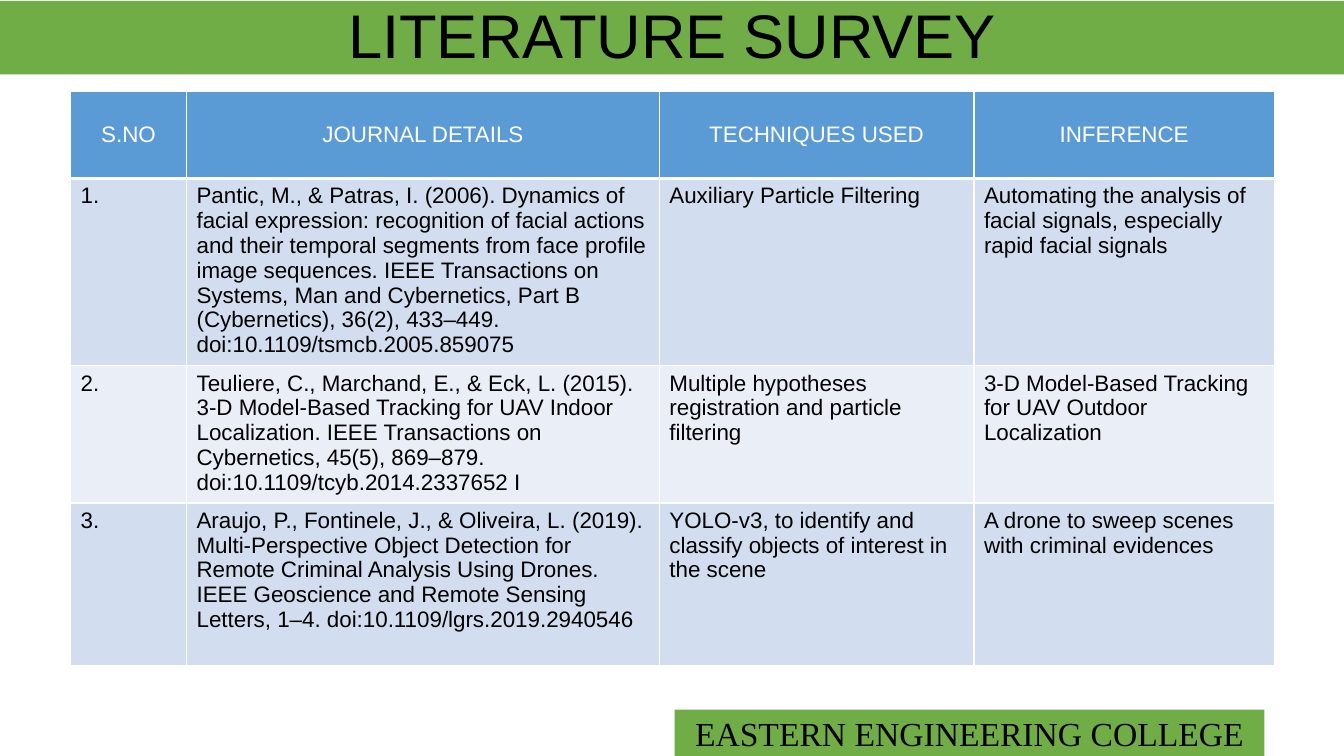
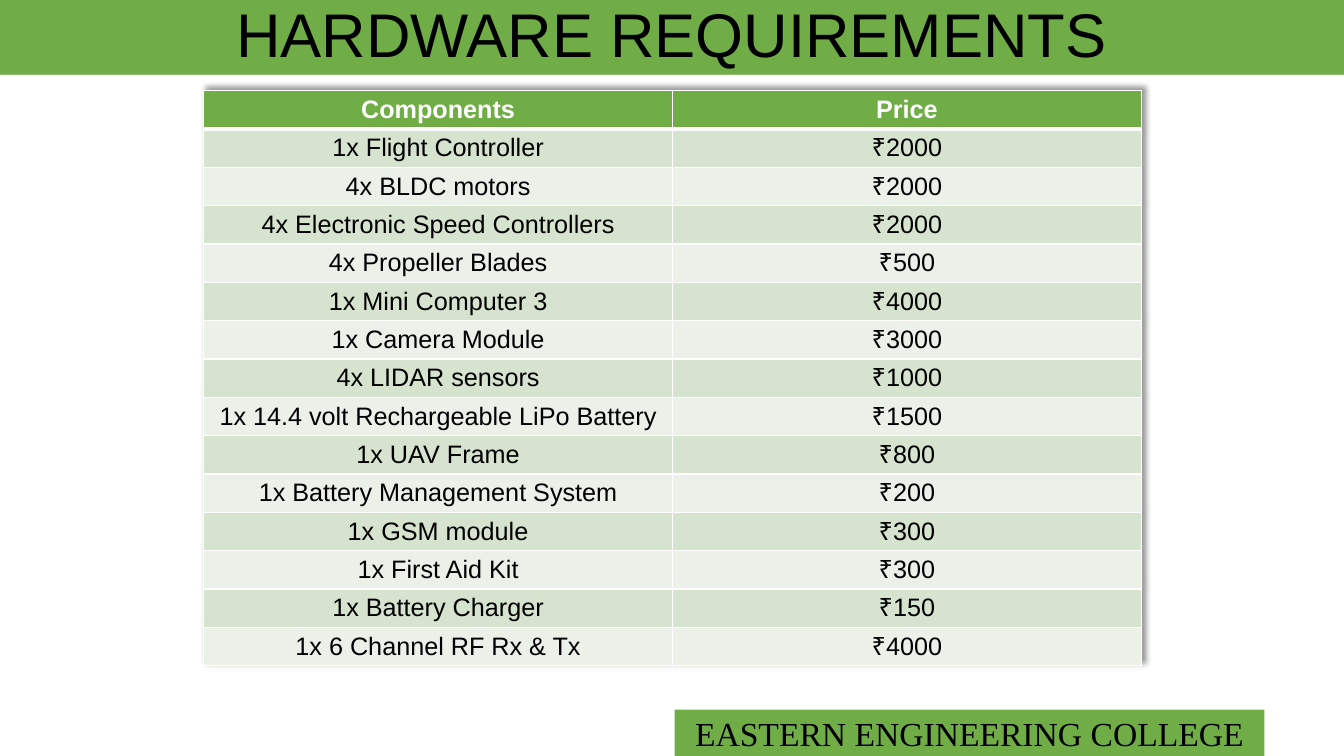
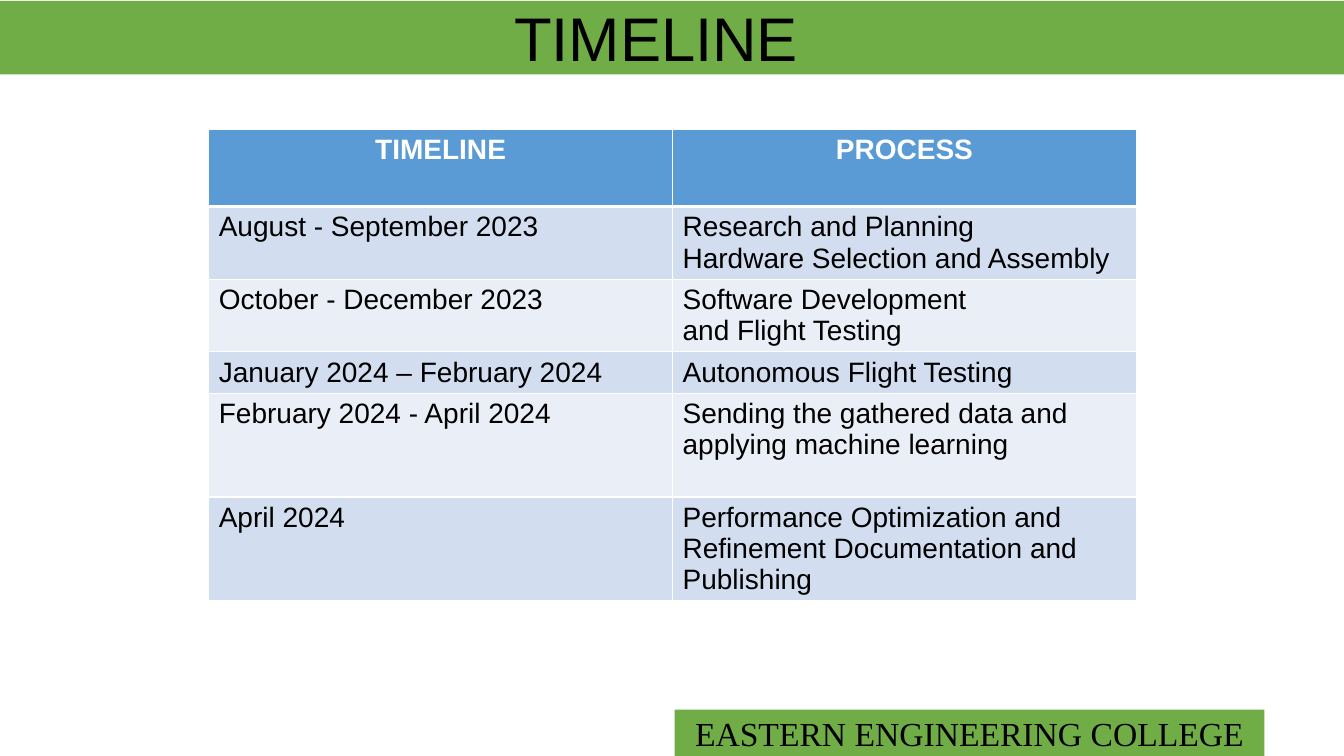
"""Build three project slides with a shared green title band, a college footer and tables."""
from dataclasses import dataclass

from lxml.etree import SubElement
from pptx import Presentation
from pptx.dml.color import RGBColor
from pptx.enum.shapes import MSO_SHAPE
from pptx.enum.text import MSO_ANCHOR, MSO_AUTO_SIZE, PP_ALIGN
from pptx.oxml.ns import qn
from pptx.shapes.autoshape import Shape
from pptx.slide import Slide
from pptx.table import _Cell
from pptx.text.text import _Paragraph
from pptx.util import Inches, Pt

COLORS = {
    "green": "70AD47",
    "green_dark_row": "D5E3CF",
    "green_light_row": "EBF1E9",
    "blue": "5B9BD5",
    "blue_dark_row": "D2DEEF",
    "blue_light_row": "EAEFF7",
    "white": "FFFFFF",
    "black": "000000",
}
TITLE_FONT = "Arial"
FOOTER_FONT = "Times New Roman"
FOOTER_TEXT = "EASTERN ENGINEERING COLLEGE"
SLIDE_WIDTH = 13.33


@dataclass(frozen=True)
class Box:
    left: float
    top: float
    width: float
    height: float


@dataclass(frozen=True)
class TextStyle:
    size: int
    color: str = "black"
    font: str = TITLE_FONT
    bold: bool = False
    alignment: PP_ALIGN = PP_ALIGN.LEFT


@dataclass(frozen=True)
class TableSpec:
    left: float
    top: float
    columns: list[float]
    row_heights: list[float]
    rows: list[list[str]]
    theme: str
    text_size: int
    bold_header: bool = True
    header_anchor: MSO_ANCHOR = MSO_ANCHOR.TOP
    body_alignment: PP_ALIGN = PP_ALIGN.LEFT
    shadow: bool = False


@dataclass(frozen=True)
class SlideSpec:
    title: str
    title_box: Box
    table: TableSpec
    filled_title: bool = False


TITLE_STYLE = TextStyle(44, alignment=PP_ALIGN.CENTER)
FOOTER_STYLE = TextStyle(24, font=FOOTER_FONT, alignment=PP_ALIGN.CENTER)

SLIDES = [
    SlideSpec(
        "LITERATURE SURVEY",
        Box(0.92, 0, 11.5, 0.77),
        TableSpec(
            0.7, 0.91, [1.15, 4.69, 3.12, 2.98], [0.86, 1.86, 1.36, 1.61],
            [
                ["S.NO", "JOURNAL DETAILS", "TECHNIQUES USED", "INFERENCE"],
                [
                    "1.",
                    "Pantic, M., & Patras, I. (2006). Dynamics of facial expression: "
                    "recognition of facial actions and their temporal segments from face "
                    "profile image sequences. IEEE Transactions on Systems, Man and "
                    "Cybernetics, Part B (Cybernetics), 36(2), "
                    "433–449. doi:10.1109/tsmcb.2005.859075",
                    "Auxiliary Particle Filtering",
                    "Automating the analysis of facial signals, especially rapid facial signals",
                ],
                [
                    "2.",
                    "Teuliere, C., Marchand, E., & Eck, L. (2015). 3-D Model-Based Tracking "
                    "for UAV Indoor Localization. IEEE Transactions on Cybernetics, 45(5), "
                    "869–879. doi:10.1109/tcyb.2014.2337652 I",
                    "Multiple hypotheses registration and particle filtering",
                    "3-D Model-Based Tracking for UAV Outdoor Localization",
                ],
                [
                    "3.",
                    "Araujo, P., Fontinele, J., & Oliveira, L. (2019). Multi-Perspective "
                    "Object Detection for Remote Criminal Analysis Using Drones. IEEE "
                    "Geoscience and Remote Sensing Letters, "
                    "1–4. doi:10.1109/lgrs.2019.2940546",
                    "YOLO-v3, to identify and classify objects of interest in the scene",
                    "A drone to sweep scenes with criminal evidences",
                ],
            ],
            "blue", 16, bold_header=False, header_anchor=MSO_ANCHOR.MIDDLE,
        ),
    ),
    SlideSpec(
        "HARDWARE REQUIREMENTS",
        Box(0, 0, SLIDE_WIDTH, 0.74),
        TableSpec(
            2.02, 0.9, [4.65] * 2, [0.38] * 15,
            [
                ["Components", "Price"],
                ["1x Flight Controller", "₹2000"],
                ["4x BLDC motors", "₹2000"],
                ["4x Electronic Speed Controllers", "₹2000"],
                ["4x Propeller Blades", "₹500"],
                ["1x Mini Computer 3", "₹4000"],
                ["1x Camera Module", "₹3000"],
                ["4x LIDAR sensors", "₹1000"],
                ["1x 14.4 volt Rechargeable LiPo Battery", "₹1500"],
                ["1x UAV Frame", "₹800"],
                ["1x Battery Management System", "₹200"],
                ["1x GSM module", "₹300"],
                ["1x First Aid Kit", "₹300"],
                ["1x Battery Charger", "₹150"],
                ["1x 6 Channel RF Rx & Tx", "₹4000"],
            ],
            "green", 18, body_alignment=PP_ALIGN.CENTER, shadow=True,
        ),
        filled_title=True,
    ),
    SlideSpec(
        "TIMELINE",
        Box(0.76, 0, 11.5, 0.82),
        TableSpec(
            2.07, 1.28, [4.6] * 2, [0.77, 0.72, 0.72, 0.41, 1.03, 1.03],
            [
                ["TIMELINE", "PROCESS"],
                [
                    "August - September 2023",
                    "Research and Planning\nHardware Selection and Assembly",
                ],
                ["October - December 2023", "Software Development\nand Flight Testing"],
                ["January 2024 – February 2024", "Autonomous Flight Testing"],
                [
                    "February 2024 - April 2024",
                    "Sending the gathered data and applying machine learning",
                ],
                [
                    "April 2024",
                    "Performance Optimization and Refinement Documentation and Publishing",
                ],
            ],
            "blue", 20,
        ),
    ),
]


def rgb(name: str) -> RGBColor:
    return RGBColor.from_string(COLORS[name])


def write_run(paragraph: _Paragraph, text: str, style: TextStyle) -> None:
    paragraph.alignment = style.alignment
    run = paragraph.add_run()
    run.text = text
    run.font.name = style.font
    run.font.size = Pt(style.size)
    run.font.bold = style.bold
    run.font.color.rgb = rgb(style.color)


def add_band(slide: Slide, box: Box) -> Shape:
    band = slide.shapes.add_shape(
        MSO_SHAPE.RECTANGLE,
        Inches(box.left), Inches(box.top), Inches(box.width), Inches(box.height),
    )
    band.shadow.inherit = False
    band.fill.solid()
    band.fill.fore_color.rgb = rgb("green")
    band.line.fill.background()
    return band


def decorate_layout(slide: Slide) -> None:
    footer = add_band(slide, Box(6.69, 7.04, 5.85, 0.46))
    footer.text_frame.vertical_anchor = MSO_ANCHOR.MIDDLE
    write_run(footer.text_frame.paragraphs[0], FOOTER_TEXT, FOOTER_STYLE)
    title_band = add_band(slide, Box(0, 0.01, SLIDE_WIDTH, 0.73))
    layout_tree = slide.slide_layout.shapes.element
    for position, band in enumerate((footer, title_band)):
        band.element.nvSpPr.cNvPr.set("id", str(100 + position))
        layout_tree.insert(2 + position, band.element)


def fill_title(slide: Slide, spec: SlideSpec) -> None:
    title = slide.shapes.title
    box = spec.title_box
    title.left, title.top = Inches(box.left), Inches(box.top)
    title.width, title.height = Inches(box.width), Inches(box.height)
    if spec.filled_title:
        title.fill.solid()
        title.fill.fore_color.rgb = rgb("green")
    frame = title.text_frame
    frame.word_wrap = True
    frame.auto_size = MSO_AUTO_SIZE.NONE
    frame.vertical_anchor = MSO_ANCHOR.MIDDLE
    frame.paragraphs[0].line_spacing = 0.9
    write_run(frame.paragraphs[0], spec.title, TITLE_STYLE)


def set_borders(cell: _Cell, top: int, bottom: int) -> None:
    properties = cell._tc.get_or_add_tcPr()
    for side, points in (("L", 1), ("R", 1), ("T", top), ("B", bottom)):
        line = SubElement(properties, qn(f"a:ln{side}"), w=str(Pt(points)))
        fill = SubElement(line, qn("a:solidFill"))
        SubElement(fill, qn("a:srgbClr"), val=COLORS["white"])


def add_table_shadow(properties) -> None:
    effects = SubElement(properties, qn("a:effectLst"))
    properties.insert(0, effects)
    shadow = SubElement(
        effects, qn("a:outerShdw"),
        blurRad=str(Pt(4)), dist=str(Pt(3)), dir="18900000", algn="bl", rotWithShape="0",
    )
    color = SubElement(shadow, qn("a:srgbClr"), val=COLORS["black"])
    SubElement(color, qn("a:alpha"), val="40000")


def fill_cell(cell: _Cell, text: str, row_index: int, spec: TableSpec) -> None:
    is_header = row_index == 0
    if is_header:
        fill_name = spec.theme
        style = TextStyle(
            spec.text_size, "white", bold=spec.bold_header, alignment=PP_ALIGN.CENTER
        )
        cell.vertical_anchor = spec.header_anchor
    else:
        fill_name = f"{spec.theme}_{'dark' if row_index % 2 else 'light'}_row"
        style = TextStyle(spec.text_size, alignment=spec.body_alignment)
    set_borders(cell, top=3 if row_index == 1 else 1, bottom=3 if is_header else 1)
    cell.fill.solid()
    cell.fill.fore_color.rgb = rgb(fill_name)
    frame = cell.text_frame
    for index, line in enumerate(text.split("\n")):
        paragraph = frame.add_paragraph() if index else frame.paragraphs[0]
        write_run(paragraph, line, style)


def add_styled_table(slide: Slide, spec: TableSpec) -> None:
    graphic_frame = slide.shapes.add_table(
        len(spec.rows), len(spec.columns),
        Inches(spec.left), Inches(spec.top),
        Inches(sum(spec.columns)), Inches(sum(spec.row_heights)),
    )
    table = graphic_frame.table
    for column, width in zip(table.columns, spec.columns):
        column.width = Inches(width)
    for row_index, (row, height) in enumerate(zip(table.rows, spec.row_heights)):
        row.height = Inches(height)
        for cell, text in zip(row.cells, spec.rows[row_index]):
            fill_cell(cell, text, row_index, spec)
    if spec.shadow:
        add_table_shadow(table._tbl.tblPr)


def main() -> None:
    presentation = Presentation()
    presentation.slide_width = Inches(SLIDE_WIDTH)
    presentation.slide_height = Inches(7.5)
    layout = presentation.slide_layouts.get_by_name("Title Only")
    for index, spec in enumerate(SLIDES):
        slide = presentation.slides.add_slide(layout)
        if index == 0:
            decorate_layout(slide)
        fill_title(slide, spec)
        add_styled_table(slide, spec.table)
    presentation.save("out.pptx")


if __name__ == "__main__":
    main()
